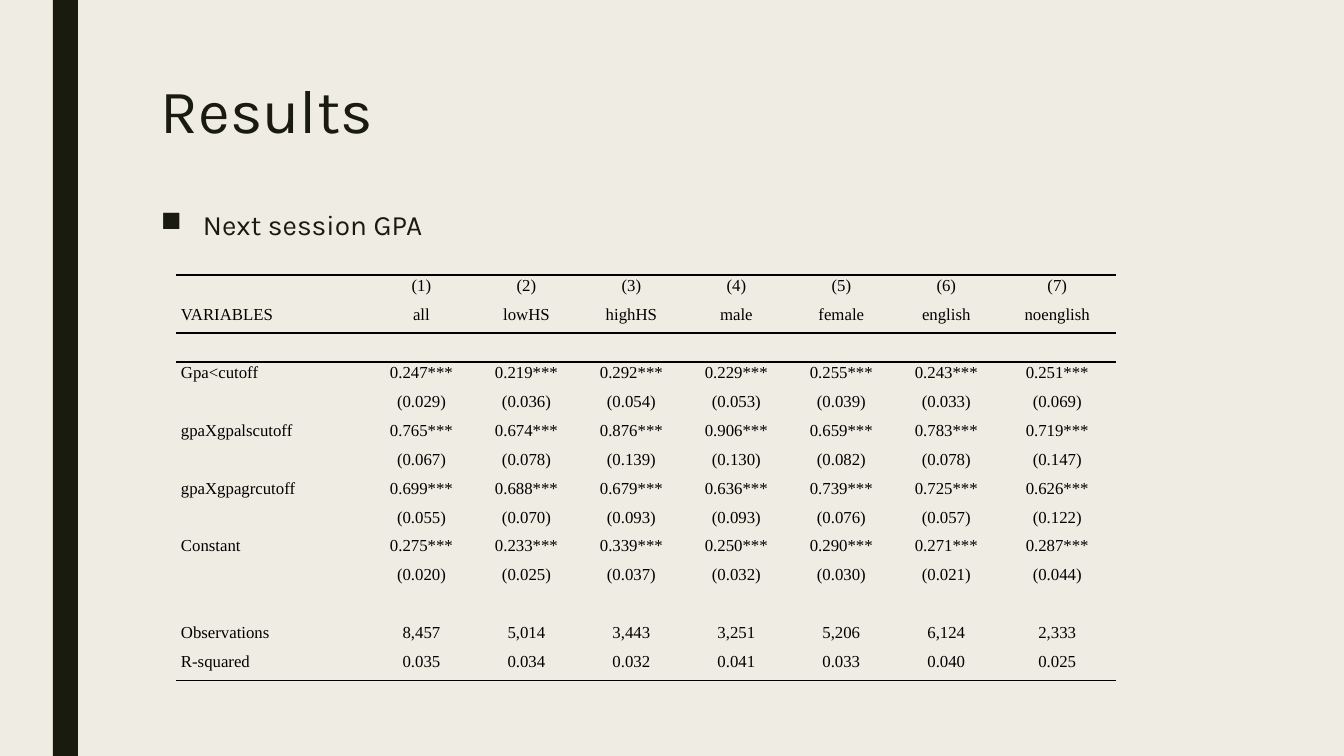
from dataclasses import dataclass

from lxml.etree import SubElement
from pptx import Presentation
from pptx.dml.color import RGBColor
from pptx.enum.shapes import MSO_SHAPE as Shape
from pptx.enum.text import PP_ALIGN as Align
from pptx.oxml.ns import qn
from pptx.util import Emu, Pt

COLORS = {"paper": "EFEDE3", "ink": "191B0E", "table": "000000"}
HEADING_FONT, TABLE_FONT = "Karla", "Times New Roman"
NO_STYLE = "{2D5ABB26-0587-4C30-8999-92F81FD0307C}"
SLIDE_W, SLIDE_H = 1344, 756
ROW_H = 29
COLUMN_WIDTHS = [193] + [105] * 6 + [117]


@dataclass
class ResultRow:
    """One table row: its label, seven values and the sides that are ruled."""
    label: str = ""
    values: str = ""
    rules: str = ""

    def cells(self) -> list[str]:
        values = self.values.split() or [""] * (len(COLUMN_WIDTHS) - 1)
        return [self.label, *values]


@dataclass
class Estimate:
    """A regressor with its coefficients and standard errors per sample."""
    label: str
    coefficients: str
    errors: str

    def rows(self) -> list[ResultRow]:
        starred = " ".join(f"{value}***" for value in self.coefficients.split())
        bracketed = " ".join(f"({value})" for value in self.errors.split())
        return [ResultRow(self.label, starred), ResultRow("", bracketed)]


ESTIMATES = [
    Estimate("Gpa<cutoff", "0.247 0.219 0.292 0.229 0.255 0.243 0.251",
             "0.029 0.036 0.054 0.053 0.039 0.033 0.069"),
    Estimate("gpaXgpalscutoff", "0.765 0.674 0.876 0.906 0.659 0.783 0.719",
             "0.067 0.078 0.139 0.130 0.082 0.078 0.147"),
    Estimate("gpaXgpagrcutoff", "0.699 0.688 0.679 0.636 0.739 0.725 0.626",
             "0.055 0.070 0.093 0.093 0.076 0.057 0.122"),
    Estimate("Constant", "0.275 0.233 0.339 0.250 0.290 0.271 0.287",
             "0.020 0.025 0.037 0.032 0.030 0.021 0.044"),
]
ROWS = [
    ResultRow("", "(1) (2) (3) (4) (5) (6) (7)", "T"),
    ResultRow("VARIABLES", "all lowHS highHS male female english noenglish", "B"),
    ResultRow(rules="T"),
    *(row for estimate in ESTIMATES for row in estimate.rows()),
    ResultRow(),
    ResultRow("Observations", "8,457 5,014 3,443 3,251 5,206 6,124 2,333"),
    ResultRow("R-squared", "0.035 0.034 0.032 0.041 0.033 0.040 0.025", "B"),
]


def px(length: float) -> Emu:
    """Turn slide pixels into EMU."""
    return Emu(round(length * 12192000 / SLIDE_W))


def color(name: str) -> RGBColor:
    """Look up a named colour."""
    return RGBColor.from_string(COLORS[name])


def write(frame, text: str, *, size: int, font: str = HEADING_FONT, ink: str = "ink",
          spacing: float = 1.0, align: Align = Align.LEFT, before: int = 0,
          after: int = 0, bullet: str = "", indent: int = 0) -> None:
    """Write one formatted paragraph into a text frame."""
    frame.word_wrap = True
    paragraph = frame.paragraphs[0]
    paragraph.alignment, paragraph.line_spacing = align, spacing
    paragraph.space_before, paragraph.space_after = Pt(before), Pt(after)
    if bullet:
        properties = paragraph._p.get_or_add_pPr()
        properties.set("marL", str(px(indent)))
        properties.set("indent", str(-px(indent)))
        SubElement(properties, qn("a:buChar")).set("char", bullet)
    if not text:
        paragraph._p.get_or_add_endParaRPr().set("sz", str(size * 100))
        return
    run = paragraph.add_run()
    run.text = text
    run.font.size, run.font.name = Pt(size), font
    run.font.color.rgb = color(ink)


def rule_cell(cell, side: str) -> None:
    """Draw a thin line on one side of a table cell."""
    line = SubElement(cell._tc.get_or_add_tcPr(), qn(f"a:ln{side}"), w=str(Pt(1)))
    fill = SubElement(line, qn("a:solidFill"))
    SubElement(fill, qn("a:srgbClr"), val=COLORS["table"])


def add_results(slide, left: int, top: int) -> None:
    """Add the regression table."""
    frame = slide.shapes.add_table(len(ROWS), len(COLUMN_WIDTHS), px(left), px(top),
                                   px(sum(COLUMN_WIDTHS)), px(ROW_H * len(ROWS)))
    table = frame.table
    table.first_row = table.horz_banding = False
    table._tbl.tblPr.find(qn("a:tableStyleId")).text = NO_STYLE
    for column, width in zip(table.columns, COLUMN_WIDTHS):
        column.width = px(width)
    for r, result in enumerate(ROWS):
        table.rows[r].height = px(ROW_H)
        for c, text in enumerate(result.cells()):
            cell = table.cell(r, c)
            cell.margin_left = cell.margin_right = px(5)
            cell.margin_top = cell.margin_bottom = 0
            for side in result.rules:
                rule_cell(cell, side)
            cell.fill.background()
            write(cell.text_frame, text, size=12, font=TABLE_FONT, ink="table",
                  spacing=1.07, align=Align.CENTER if c else Align.LEFT)


def main() -> None:
    """Build and save the slide."""
    deck = Presentation()
    deck.slide_width, deck.slide_height = px(SLIDE_W), px(SLIDE_H)
    slide = deck.slides.add_slide(deck.slide_layouts[6])
    slide.background.fill.solid()
    slide.background.fill.fore_color.rgb = color("paper")

    side_bar = slide.shapes.add_shape(Shape.RECTANGLE, px(53), 0, px(25), px(SLIDE_H))
    side_bar.shadow.inherit = False
    side_bar.fill.solid()
    side_bar.fill.fore_color.rgb = color("ink")
    side_bar.line.fill.background()

    title = slide.shapes.add_textbox(px(151), px(76), px(1058), px(163))
    write(title.text_frame, "Results", size=44, spacing=0.89)
    outcome = slide.shapes.add_textbox(px(151), px(205), px(1058), px(395))
    write(outcome.text_frame, "Next session GPA", size=20, spacing=0.94,
          before=10, after=2, bullet="■", indent=42)
    add_results(slide, 176, 275)
    deck.save("out.pptx")


main()
